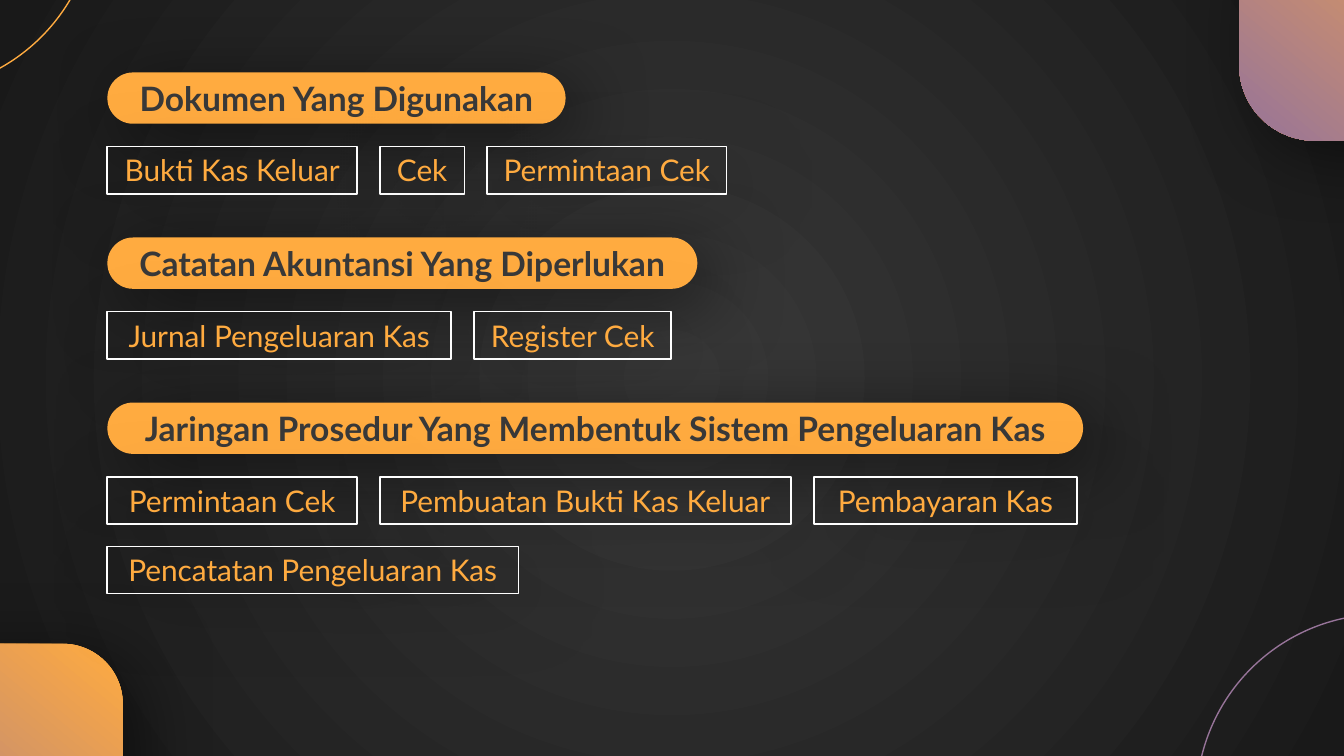
import pptx
import pptx.util
import pptx.oxml
import pptx.oxml.ns
import pptx.dml.color
import pptx.enum.shapes
import pptx.enum.text

Cm, Pt = pptx.util.Cm, pptx.util.Pt
KIND = pptx.enum.shapes.MSO_SHAPE
NS = pptx.oxml.ns.nsdecls("a")

# Content: heading, width, rows of (label, width) in cm
PARTS = [
    ("Dokumen Yang Digunakan", 8.66, [
        [("Bukti Kas Keluar", 4.72), ("Cek", 1.6), ("Permintaan Cek", 4.52)],
    ]),
    ("Catatan Akuntansi Yang Diperlukan", 11.15, [
        [("Jurnal Pengeluaran Kas", 6.5), ("Register Cek", 3.73)],
    ]),
    ("Jaringan Prosedur Yang Membentuk Sistem Pengeluaran Kas", 18.44, [
        [("Permintaan Cek", 4.72), ("Pembuatan Bukti Kas Keluar", 7.77),
         ("Pembayaran Kas", 4.98)],
        [("Pencatatan Pengeluaran Kas", 7.77)],
    ]),
]
HEX = {"gold": "FFAB40", "plum": "977499", "grey": "393939",
       "dark": "191919", "white": "FFFFFF", "black": "000000"}

# Corner decoration: left, top, width, height, rounding
BLOCKS = [(-4.39, 12.17, 6.71, 4.17, 0.272), (23.42, -1.63, 6.71, 4.29, 0.333)]
RINGS = [(22.61, 11.61, "plum"), (-5.23, -5.31, "gold")]
RING = 7.04

# Layout rules in cm
LEFT, TOP, PITCH = 2.03, 1.37, 3.12
PILL, CHIP = 0.97, 0.89
DROP, STEP, GAP = 1.4, 1.32, 0.43

HEAD = {"size": Pt(18), "bold": True, "name": "Lato"}
ITEM = {"size": Pt(16), "bold": False, "name": "Lato"}


def rgb(name):
    return pptx.dml.color.RGBColor.from_string(HEX[name])


def blend(fill, first, last):
    fill.gradient()
    for stop, name in zip(fill.gradient_stops, (first, last)):
        stop.color.rgb = rgb(name)


def shape(kind, box, fill=None, line=None, width=1, curve=None):
    item = slide.shapes.add_shape(kind, *map(Cm, box))
    item.shadow.inherit = False
    if curve is not None:
        item.adjustments[0] = curve
    if fill:
        item.fill.solid()
        item.fill.fore_color.rgb = rgb(fill)
    else:
        item.fill.background()
    if line:
        item.line.color.rgb = rgb(line)
        item.line.width = Pt(width)
    else:
        item.line.fill.background()
    return item


def shade(item):
    glow = pptx.oxml.parse_xml(
        f'<a:outerShdw {NS} blurRad="{Pt(39.4)}" dist="{Pt(11.2)}" '
        f'dir="{40 * 60000}" algn="tl" rotWithShape="0">'
        f'<a:srgbClr val="{HEX["black"]}"><a:alpha val="50000"/></a:srgbClr>'
        '</a:outerShdw>')
    item._element.spPr.find(pptx.oxml.ns.qn("a:effectLst")).append(glow)


def label(item, text, style, color):
    frame = item.text_frame
    frame.word_wrap = True
    frame.vertical_anchor = pptx.enum.text.MSO_ANCHOR.MIDDLE
    for side in ("left", "top", "right", "bottom"):
        setattr(frame, "margin_" + side, Cm(0.25))
    para = frame.paragraphs[0]
    para.alignment = pptx.enum.text.PP_ALIGN.CENTER
    run = para.add_run()
    run.text = text
    for key, value in style.items():
        setattr(run.font, key, value)
    run.font.color.rgb = rgb(color)


deck = pptx.Presentation()
deck.slide_width, deck.slide_height = Cm(25.4), Cm(14.29)
slide = deck.slides.add_slide(deck.slide_layouts[6])

# Radial background
back = slide.background.fill
blend(back, "grey", "dark")
lin = slide._element.find(".//" + pptx.oxml.ns.qn("a:lin"))
lin.getparent().replace(lin, pptx.oxml.parse_xml(
    f'<a:path {NS} path="circle"><a:fillToRect l="50000" t="50000" '
    'r="50000" b="50000"/></a:path>'))

# Corner blocks and rings
for *box, curve in BLOCKS:
    block = shape(KIND.ROUNDED_RECTANGLE, box, curve=curve)
    blend(block.fill, "gold", "plum")
    block.fill.gradient_angle = 230
    shade(block)
for x, y, color in RINGS:
    shape(KIND.OVAL, (x, y, RING, RING), line=color, width=0.75)

# Headings with their rows of boxes
for i, (title, wide, rows) in enumerate(PARTS):
    top = TOP + i * PITCH
    pill = shape(KIND.ROUNDED_RECTANGLE, (LEFT, top, wide, PILL),
                 fill="gold", curve=0.5)
    shade(pill)
    label(pill, title, HEAD, "grey")
    for j, row in enumerate(rows):
        x, y = LEFT, top + DROP + j * STEP
        for text, wide in row:
            chip = shape(KIND.ROUNDED_RECTANGLE, (x, y, wide, CHIP),
                         line="white", curve=0)
            shade(chip)
            label(chip, text, ITEM, "gold")
            x += wide + GAP

deck.save("out.pptx")
